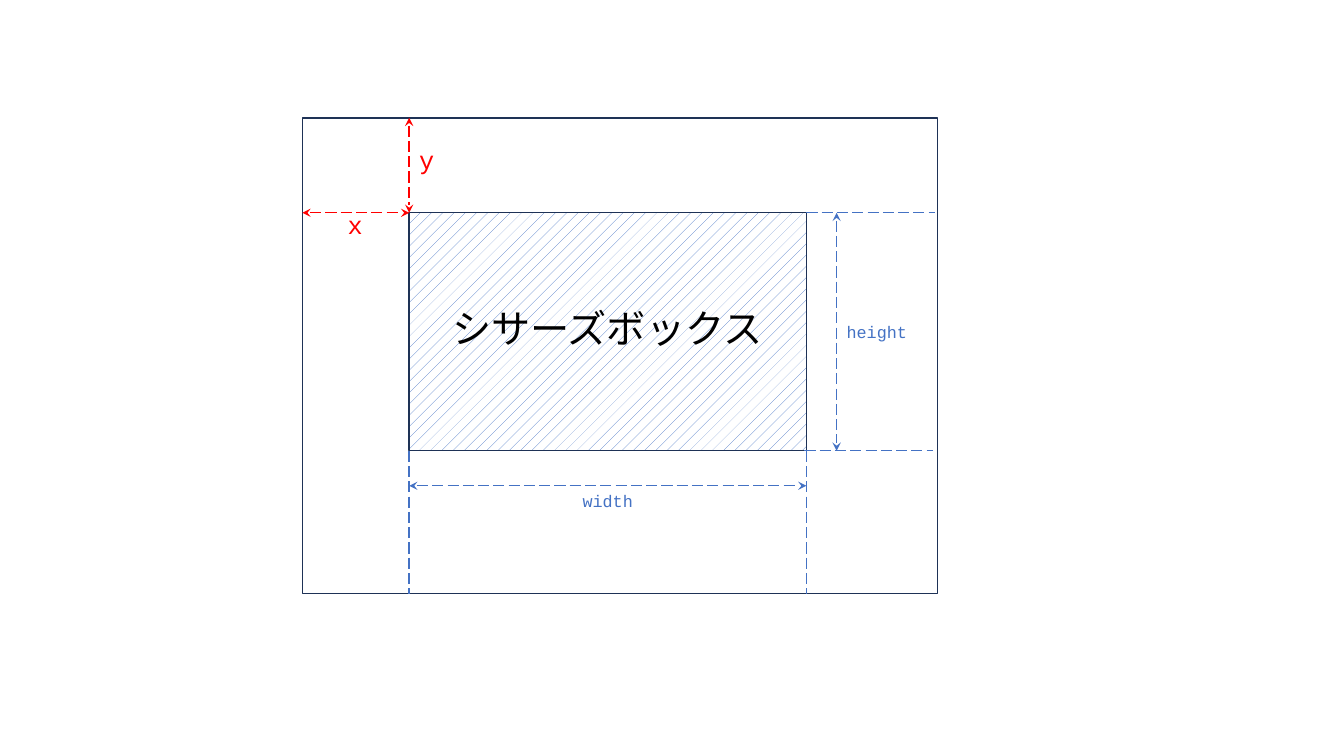
from dataclasses import dataclass

import pptx
import pptx.dml.color
import pptx.enum.dml
import pptx.enum.shapes
import pptx.enum.text
import pptx.oxml
import pptx.oxml.ns
import pptx.util
from pptx.dml.color import RGBColor
from pptx.util import Pt

NAVY = RGBColor(0x1E, 0x32, 0x56)
BLUE = RGBColor(0x44, 0x72, 0xC4)
RED = RGBColor(0xFF, 0x00, 0x00)
BLACK = RGBColor(0x00, 0x00, 0x00)
WHITE = RGBColor(0xFF, 0xFF, 0xFF)
MONO = "Courier New"
JAPANESE = "Noto Sans CJK JP"


@dataclass(frozen=True)
class Box:
    left: float
    top: float
    width: float
    height: float

    @property
    def right(self) -> float:
        return self.left + self.width

    @property
    def bottom(self) -> float:
        return self.top + self.height


@dataclass(frozen=True)
class Guide:
    x1: float
    y1: float
    x2: float
    y2: float
    color: RGBColor = BLUE
    arrows: bool = False


@dataclass(frozen=True)
class Label:
    text: str
    box: Box
    size: float
    color: RGBColor
    font: str = MONO
    centered: bool = False


FRAME = Box(216, 84.2, 453.6, 340)
SCISSOR = Box(292.3, 152, 283.7, 170)
HEIGHT_X = 597.6
WIDTH_Y = 347

GUIDES = [
    Guide(FRAME.left, SCISSOR.top, SCISSOR.left, SCISSOR.top, RED, True),
    Guide(SCISSOR.left, FRAME.top, SCISSOR.left, SCISSOR.top, RED, True),
    Guide(HEIGHT_X, SCISSOR.top, HEIGHT_X, SCISSOR.bottom, arrows=True),
    Guide(SCISSOR.right, SCISSOR.top, 668.2, SCISSOR.top),
    Guide(574.6, SCISSOR.bottom, 666.7, SCISSOR.bottom),
    Guide(SCISSOR.left, SCISSOR.bottom, SCISSOR.left, FRAME.bottom),
    Guide(SCISSOR.right, SCISSOR.bottom, SCISSOR.right, FRAME.bottom),
    Guide(SCISSOR.left, WIDTH_Y, SCISSOR.right, WIDTH_Y, arrows=True),
]

LABELS = [
    Label("x", Box(241.2, 146.2, 25.2, 29), 18, RED),
    Label("y", Box(292.3, 99.4, 25.2, 29), 18, RED),
    Label("height", Box(HEIGHT_X, 226.1, 58.3, 21.8), 12, BLUE),
    Label("width", Box(409, WIDTH_Y, 51.1, 21.8), 12, BLUE),
    Label("シサーズボックス", Box(308.9, 213.8, 249.8, 41), 28, BLACK, JAPANESE, True),
]


def add_box(slide: pptx.slide.Slide, box: Box, hatched: bool = False) -> None:
    sp = slide.shapes.add_shape(
        pptx.enum.shapes.MSO_SHAPE.RECTANGLE,
        Pt(box.left), Pt(box.top), Pt(box.width), Pt(box.height),
    )
    sp.shadow.inherit = False
    if hatched:
        sp.fill.patterned()
        sp.fill.pattern = pptx.enum.dml.MSO_PATTERN.PERCENT_10
        sp.fill.fore_color.rgb = BLUE
        sp.fill.back_color.rgb = WHITE
    else:
        sp.fill.background()
    sp.line.color.rgb = NAVY
    sp.line.width = Pt(1)


def add_guide(slide: pptx.slide.Slide, guide: Guide) -> None:
    cxn = slide.shapes.add_connector(
        pptx.enum.shapes.MSO_CONNECTOR.STRAIGHT,
        Pt(guide.x1), Pt(guide.y1), Pt(guide.x2), Pt(guide.y2),
    )
    cxn.line.color.rgb = guide.color
    cxn.line.width = Pt(1)
    cxn.line.dash_style = pptx.enum.dml.MSO_LINE.LONG_DASH
    if guide.arrows:
        ln = cxn.line.fill._xPr
        for end in ("a:headEnd", "a:tailEnd"):
            arrow = pptx.oxml.xmlchemy.OxmlElement(end)
            arrow.set("type", "stealth")
            ln.append(arrow)
    cxn._element.spPr.append(pptx.oxml.xmlchemy.OxmlElement("a:effectLst"))


def add_label(slide: pptx.slide.Slide, label: Label) -> None:
    box = label.box
    sp = slide.shapes.add_textbox(
        Pt(box.left), Pt(box.top), Pt(box.width), Pt(box.height)
    )
    tf = sp.text_frame
    tf.text = label.text
    tf.word_wrap = label.centered
    tf.auto_size = pptx.enum.text.MSO_AUTO_SIZE.SHAPE_TO_FIT_TEXT
    p = tf.paragraphs[0]
    if label.centered:
        p.alignment = pptx.enum.text.PP_ALIGN.CENTER
    r = p.runs[0]
    r.font.size = Pt(label.size)
    r.font.name = label.font
    r.font.color.rgb = label.color
    ea = pptx.oxml.xmlchemy.OxmlElement("a:ea")
    ea.set("typeface", label.font)
    r.font._element.find(pptx.oxml.ns.qn("a:latin")).addnext(ea)


def main() -> None:
    prs = pptx.Presentation()
    prs.slide_width, prs.slide_height = Pt(960), Pt(540)
    s = prs.slides.add_slide(prs.slide_layouts[6])
    add_box(s, FRAME)
    add_box(s, SCISSOR, hatched=True)
    for guide in GUIDES:
        add_guide(s, guide)
    for label in LABELS:
        add_label(s, label)
    prs.save("out.pptx")


if __name__ == "__main__":
    main()
